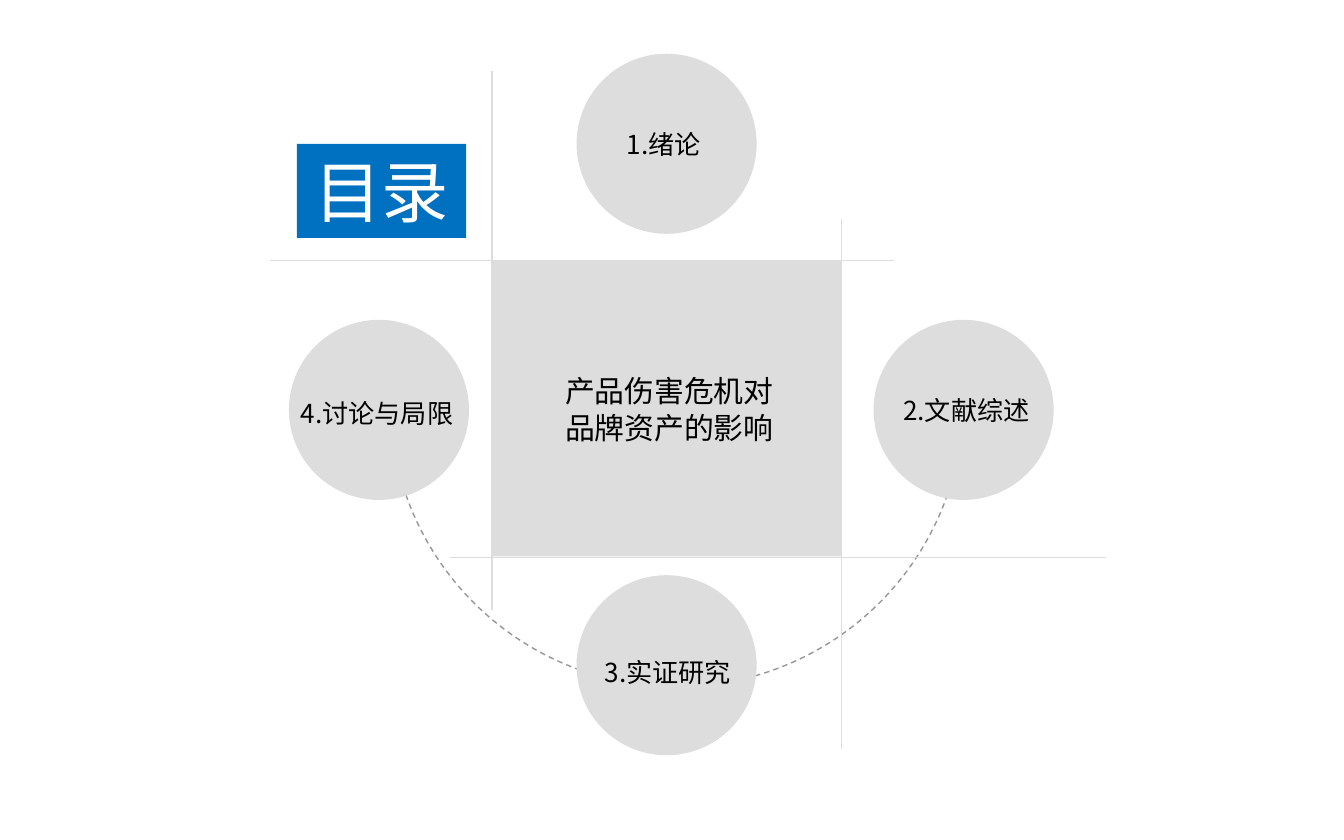
"""Build the contents slide: a central topic ringed by four numbered sections."""
from typing import NamedTuple, Optional

from lxml import etree
from pptx import Presentation
from pptx import util as u
from pptx.dml.color import RGBColor
from pptx.enum import dml, shapes, text
from pptx.oxml import ns

GREY, BLUE, BLACK, WHITE, ARC_GREY = "DDDDDD", "0070C0", "000000", "FFFFFF", "969696"
BODY_FONT, TITLE_FONT = "Noto Sans CJK SC", "Cabin"
DIAMETER = 1.34
LABEL_HEIGHT = 0.34


class Area(NamedTuple):
    left: float
    top: float
    width: float
    height: float

    def lengths(self) -> list:
        return [u.Inches(value) for value in self]


class Section(NamedTuple):
    label: str
    circle_left: float
    circle_top: float
    label_left: float
    label_top: float
    label_width: float


class Rule(NamedTuple):
    start: tuple
    end: tuple


SECTIONS = [
    Section("1.绪论", 4.29, 0.4, 4.43, 0.9, 1.02),
    Section("2.文献综述", 6.5, 2.38, 6.5, 2.88, 1.38),
    Section("3.实证研究", 4.29, 4.28, 4.32, 4.83, 1.3),
    Section("4.讨论与局限", 2.15, 2.38, 2.06, 2.9, 1.49),
]
CENTRE = Area(3.66, 1.94, 2.6, 2.2)
RIGHT, BOTTOM = CENTRE.left + CENTRE.width, 4.15
RULES = [
    Rule((CENTRE.left, 0.53), (CENTRE.left, 4.54)),
    Rule((RIGHT, 1.63), (RIGHT, 5.57)),
    Rule((2.01, CENTRE.top), (6.65, CENTRE.top)),
    Rule((3.35, BOTTOM), (8.23, BOTTOM)),
]


def colour(value: str) -> RGBColor:
    return RGBColor.from_string(value)


def add_filled(slide, kind, area: Area, fill: str):
    shape = slide.shapes.add_shape(kind, *area.lengths())
    shape.shadow.inherit = False
    shape.fill.solid()
    shape.fill.fore_color.rgb = colour(fill)
    shape.line.fill.background()
    return shape


def add_arc(slide, area: Area, start: float, end: float) -> None:
    arc = slide.shapes.add_shape(shapes.MSO_SHAPE.ARC, *area.lengths())
    arc.shadow.inherit = False
    arc.adjustments[0] = start * 0.6
    arc.adjustments[1] = end * 0.6
    arc.fill.background()
    arc.line.color.rgb = colour(ARC_GREY)
    arc.line.width = u.Pt(0.75)
    arc.line.dash_style = dml.MSO_LINE.DASH


def add_rule(slide, rule: Rule) -> None:
    ends = [u.Inches(value) for value in rule.start + rule.end]
    line = slide.shapes.add_connector(shapes.MSO_CONNECTOR.STRAIGHT, *ends)
    line.line.color.rgb = colour(GREY)
    line.line.width = u.Pt(0.75)
    etree.SubElement(line._element.spPr, ns.qn("a:effectLst"))


def write(box, words: str, size: float, font: str, ink: str,
          spacing: Optional[float] = None) -> None:
    frame = box.text_frame
    frame.text = words
    frame.word_wrap = True
    frame.vertical_anchor = text.MSO_ANCHOR.MIDDLE
    for para in frame.paragraphs:
        para.alignment = text.PP_ALIGN.CENTER
        if spacing:
            para.line_spacing = u.Pt(spacing)
        for span in para.runs:
            span.font.size = u.Pt(size)
            span.font.name = font
            span.font.color.rgb = colour(ink)
            east_asian = etree.SubElement(span._r.get_or_add_rPr(), ns.qn("a:ea"))
            east_asian.set("typeface", font)


def add_label(slide, area: Area, words: str, size: float,
              spacing: Optional[float] = None) -> None:
    box = slide.shapes.add_textbox(*area.lengths())
    write(box, words, size, BODY_FONT, BLACK, spacing)


def main() -> None:
    deck = Presentation()
    deck.slide_width, deck.slide_height = u.Inches(10), u.Inches(6.25)
    slide = deck.slides.add_slide(deck.slide_layouts[6])

    add_arc(slide, Area(2.9, 0.84, 4.27, 4.27), -77, 164.5)
    add_filled(slide, shapes.MSO_SHAPE.RECTANGLE, CENTRE, GREY)
    for rule in RULES:
        add_rule(slide, rule)
    for section in SECTIONS:
        circle = Area(section.circle_left, section.circle_top, DIAMETER, DIAMETER)
        add_filled(slide, shapes.MSO_SHAPE.OVAL, circle, GREY)

    title = add_filled(slide, shapes.MSO_SHAPE.RECTANGLE, Area(2.21, 1.07, 1.26, 0.7), BLUE)
    write(title, "目录", 36, TITLE_FONT, WHITE)
    for section in SECTIONS:
        area = Area(section.label_left, section.label_top, section.label_width, LABEL_HEIGHT)
        add_label(slide, area, section.label, 14)
    add_label(slide, Area(3.95, 2.72, 2.06, 0.64), "产品伤害危机对\n品牌资产的影响", 16, 19.8)

    deck.save("out.pptx")


if __name__ == "__main__":
    main()
